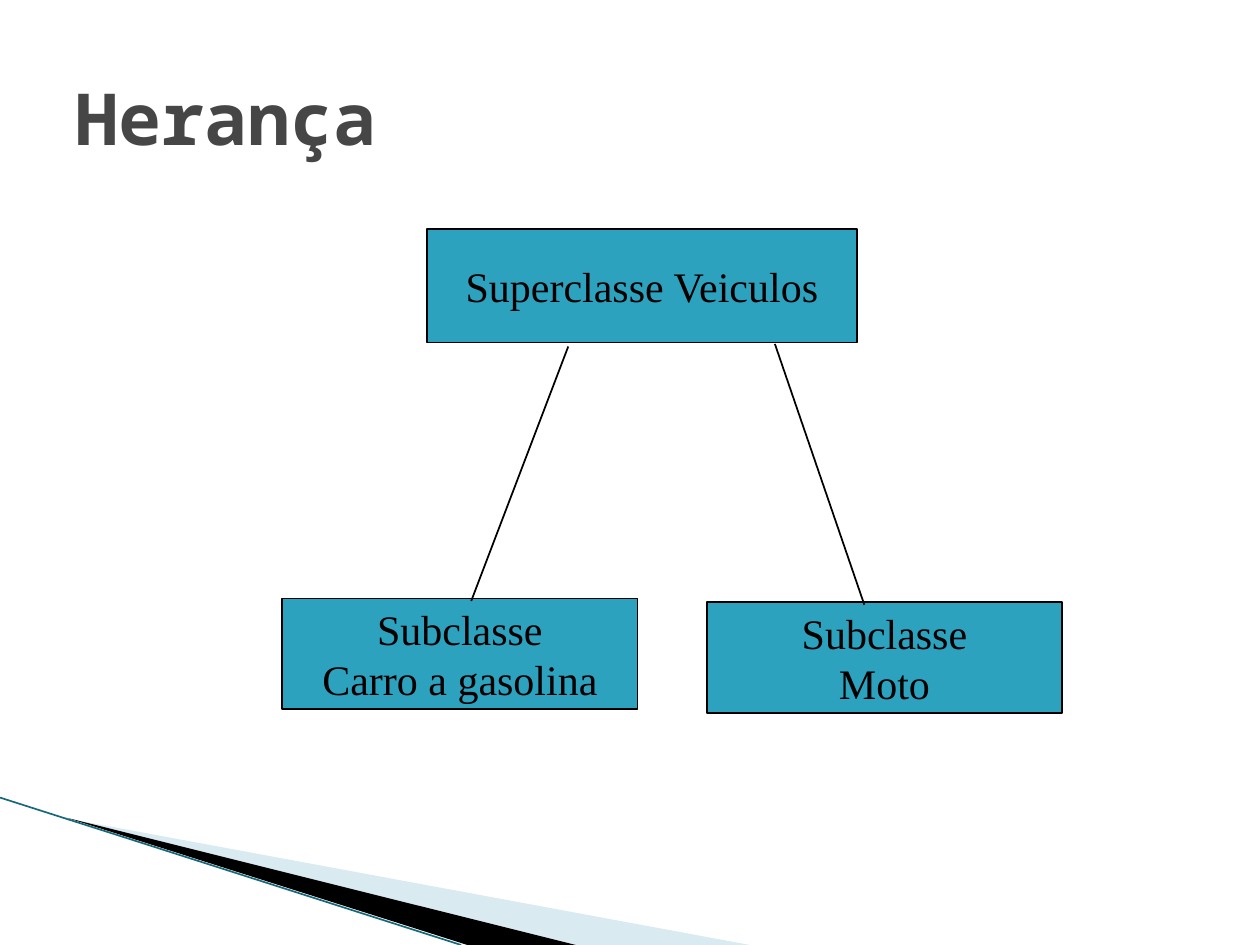
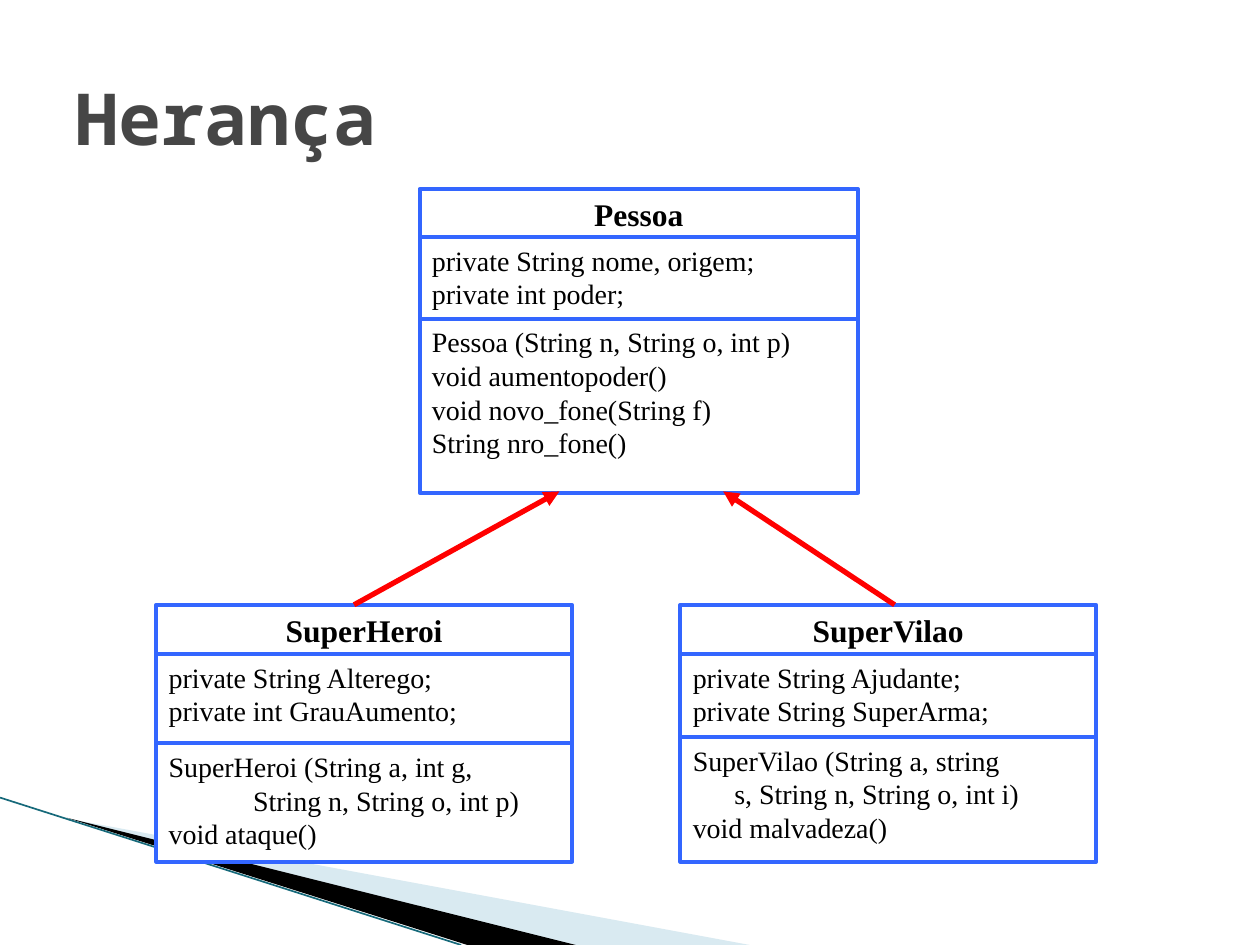
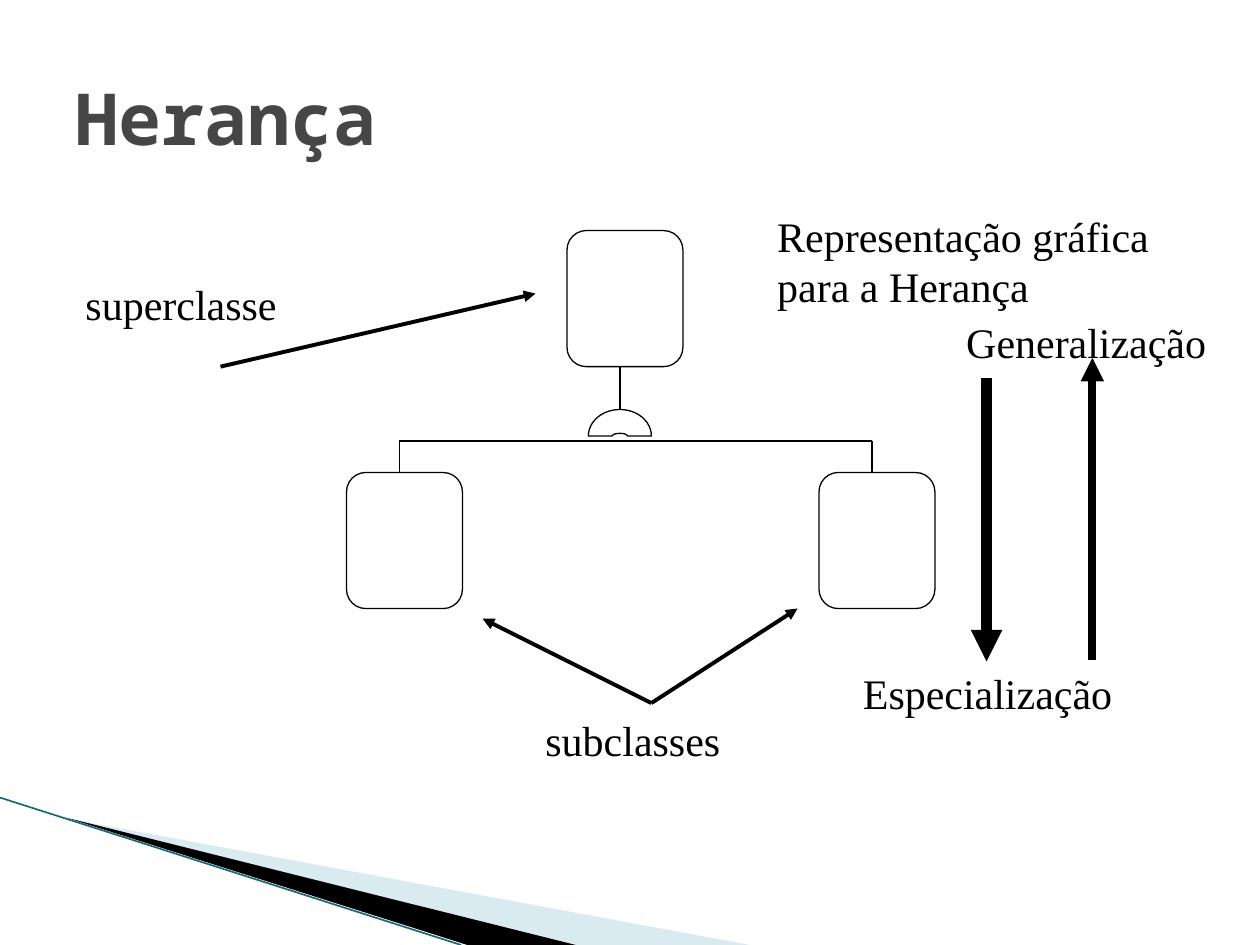
"""Builds three slides on class inheritance, with a shared title and corner band."""
from lxml import etree
from pptx import Presentation
from pptx.dml.color import RGBColor
from pptx.enum.shapes import MSO_CONNECTOR, MSO_SHAPE
from pptx.enum.text import MSO_ANCHOR, PP_ALIGN
from pptx.oxml.ns import qn
from pptx.util import Pt

PX = 9144
RECT = MSO_SHAPE.RECTANGLE
ROUND = MSO_SHAPE.FLOWCHART_ALTERNATE_PROCESS
ARC = MSO_SHAPE.BLOCK_ARC
LINE = MSO_CONNECTOR.STRAIGHT
LEFT, MID = PP_ALIGN.LEFT, PP_ALIGN.CENTER
TOP, CENTER = MSO_ANCHOR.TOP, MSO_ANCHOR.MIDDLE
SERIF, MONO = "Times New Roman", "Noto Sans Mono"
HEX = {
    "black": "000000", "white": "FFFFFF", "title": "464646", "pale": "A0CBDC",
    "edge": "16697A", "teal": "2DA2BF", "blue": "3366FF", "red": "FF0000",
}
RGB = {name: RGBColor.from_string(code) for name, code in HEX.items()}


def write(shape, rows, size, align=LEFT, anchor=TOP, bold=False, wrap=False):
    """Fill a shape with one serif paragraph per (indent, text) row."""
    frame = shape.text_frame
    frame.word_wrap = wrap
    frame.vertical_anchor = anchor
    for i, (dent, text) in enumerate(rows):
        para = frame.add_paragraph() if i else frame.paragraphs[0]
        para.alignment = align
        para.line_spacing = Pt(size * 1.2)
        if dent:
            para._p.get_or_add_pPr().set("marL", str(dent * PX))
        run = para.add_run()
        run.text = text
        run.font.name, run.font.size, run.font.bold = SERIF, Pt(size), bold
        run.font.color.rgb = RGB["black"]


def link(slide, ends, width, color="black", arrow=False):
    """Draw a straight line, with an arrowhead at its end if asked."""
    wire = slide.shapes.add_connector(LINE, *[n * PX for n in ends])
    wire.line.width = Pt(width)
    wire.line.color.rgb = RGB[color]
    props = wire.element.spPr
    if arrow:
        etree.SubElement(props.find(qn("a:ln")), qn("a:tailEnd"), type="triangle")
    etree.SubElement(props, qn("a:effectLst"))


prs = Presentation()
prs.slide_width, prs.slide_height = 1000 * PX, 750 * PX

bands = [
    ("pale", [(55, 650), (595, 750), (456, 750)]),
    ("black", [(53, 649), (457, 750), (371, 750)]),
]
slides = []
for _ in range(3):
    slide = prs.slides.add_slide(prs.slide_layouts[6])
    slides.append(slide)
    for color, points in bands:
        pen = slide.shapes.build_freeform(*points[0], scale=PX)
        pen.add_line_segments(points[1:], close=True)
        band = pen.convert_to_shape()
        band.shadow.inherit = False
        band.fill.solid()
        band.fill.fore_color.rgb = RGB[color]
        band.line.fill.background()
        if color == "pale":
            tint = band.element.spPr.find(".//" + qn("a:srgbClr"))
            etree.SubElement(tint, qn("a:alpha"), val="40000")
    link(slide, (0, 633, 366, 750), 0.95, "edge")
    title = slide.shapes.add_textbox(50 * PX, 30 * PX, 900 * PX, 125 * PX)
    title.text_frame.word_wrap = True
    title.text_frame.vertical_anchor = CENTER
    run = title.text_frame.paragraphs[0].add_run()
    run.text = "Herança"
    run.font.name, run.font.size, run.font.bold = MONO, Pt(41), True
    run.font.color.rgb = RGB["title"]

tree, uml, chart = slides

nodes = [
    ((339, 182, 341, 90), ["Superclasse Veiculos"]),
    ((224, 475, 282, 88), ["Subclasse", "Carro a gasolina"]),
    ((561, 478, 282, 88), ["Subclasse", "Moto"]),
]
for place, rows in nodes:
    node = tree.shapes.add_shape(RECT, *[n * PX for n in place])
    node.shadow.inherit = False
    node.fill.solid()
    node.fill.fore_color.rgb = RGB["teal"]
    node.line.color.rgb = RGB["black"]
    node.line.width = Pt(1)
    write(node, [(0, row) for row in rows], 24, MID, CENTER)
for ends in [(451, 275, 374, 477), (615, 273, 686, 480)]:
    link(tree, ends, 1)

types = [
    (333, 150, 348, [
        (38, [(0, "Pessoa")]),
        (65, [(0, "private String nome, origem;"), (0, "private int poder;")]),
        (138, [(0, "Pessoa (String n, String o, int p)"), (0, "void aumentopoder()"),
               (0, "void novo_fone(String f)"), (0, "String nro_fone()")]),
    ]),
    (124, 480, 330, [
        (39, [(0, "SuperHeroi")]),
        (71, [(0, "private String Alterego;"), (0, "private int GrauAumento;")]),
        (94, [(0, "SuperHeroi (String a, int g,"),
              (67, "String n, String o, int p)"), (0, "void ataque()")]),
    ]),
    (540, 480, 330, [
        (39, [(0, "SuperVilao")]),
        (66, [(0, "private String Ajudante;"), (0, "private String SuperArma;")]),
        (99, [(0, "SuperVilao (String a, string"),
              (33, "s, String n, String o, int i)"), (0, "void malvadeza()")]),
    ]),
]
for left, top, width, parts in types:
    for i, (height, rows) in enumerate(parts):
        part = uml.shapes.add_shape(RECT, left * PX, top * PX, width * PX, height * PX)
        part.shadow.inherit = False
        part.fill.solid()
        part.fill.fore_color.rgb = RGB["white"]
        part.line.color.rgb = RGB["blue"]
        part.line.width = Pt(2.25)
        if i:
            write(part, rows, 16, wrap=True)
        else:
            write(part, rows, 18, MID, bold=True, wrap=True)
        top += height
for ends in [(281, 480, 444, 390), (710, 480, 574, 390)]:
    link(uml, ends, 3, "red", True)

forms = [
    (ROUND, (450, 183, 92, 108)),
    (ROUND, (275, 375, 92, 108)),
    (ROUND, (650, 375, 92, 108)),
    (ARC, (467, 325, 50, 42)),
]
for kind, place in forms:
    form = chart.shapes.add_shape(kind, *[n * PX for n in place])
    form.shadow.inherit = False
    form.fill.background()
    form.line.color.rgb = RGB["black"]
    form.line.width = Pt(0.75)
    if kind == ARC:
        form.adjustments[2] = 0.45

stems = [
    (492, 291, 492, 325), (317, 350, 692, 350),
    (317, 350, 317, 375), (692, 350, 692, 375),
]
for ends in stems:
    link(chart, ends, 0.75)

arrows = [
    ((175, 291, 425, 233), 2.25), ((517, 558, 383, 491), 2.25),
    ((517, 558, 633, 483), 2.25), ((783, 300, 783, 525), 6),
    ((867, 524, 867, 284), 4.5),
]
for ends, width in arrows:
    link(chart, ends, width, arrow=True)

labels = [
    ((58, 216, 172, 50), ["superclasse"]),
    ((423, 562, 159, 50), ["subclasses"]),
    ((607, 162, 315, 90), ["Representação gráfica", "para a Herança"]),
    ((675, 525, 218, 50), ["Especialização"]),
    ((757, 246, 224, 50), ["Generalização"]),
]
for place, rows in labels:
    label = chart.shapes.add_textbox(*[n * PX for n in place])
    write(label, [(0, row) for row in rows], 24)

prs.save("out.pptx")
